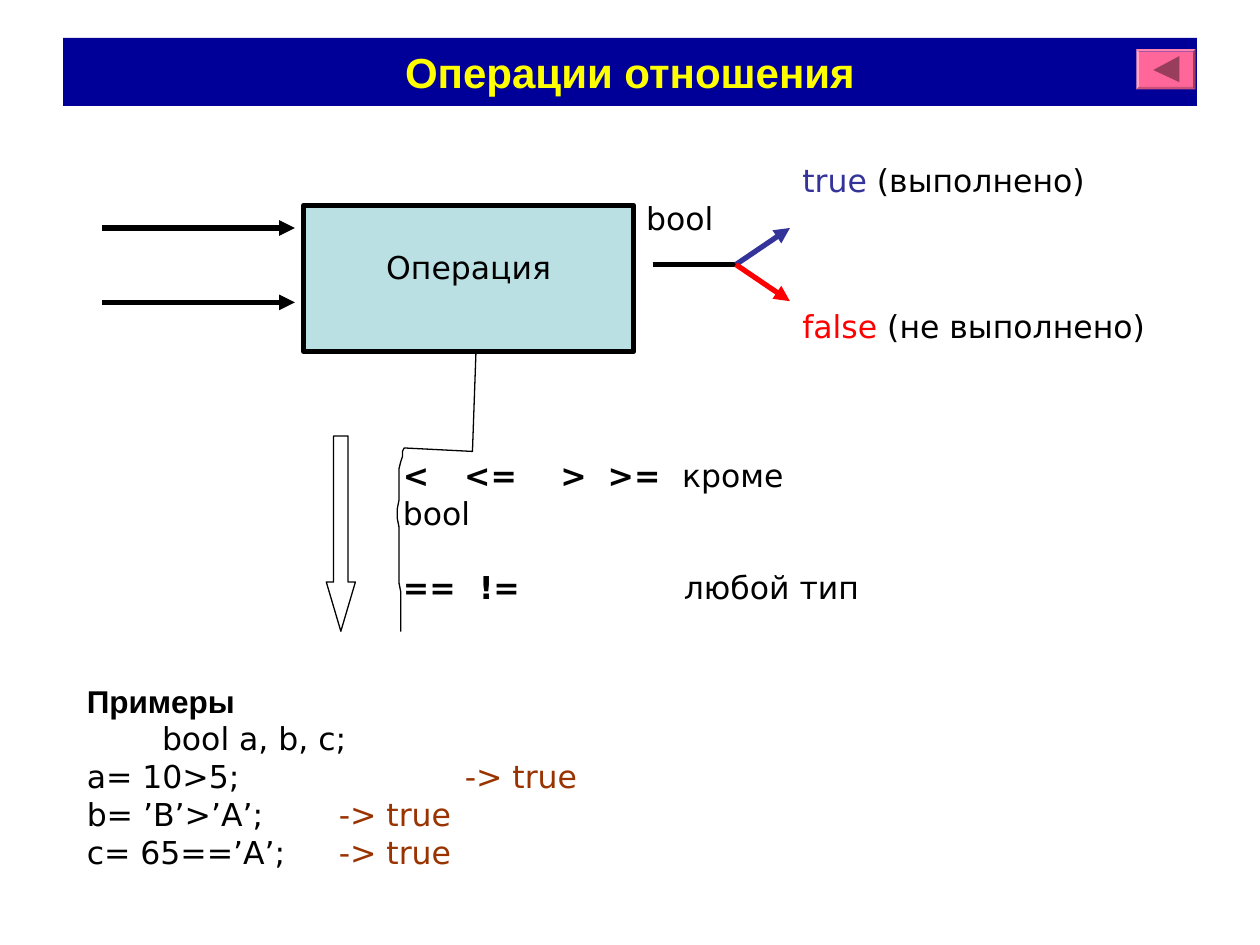
from lxml.etree import SubElement
from pptx import Presentation
from pptx.dml.color import RGBColor
from pptx.enum.shapes import MSO_CONNECTOR, MSO_SHAPE
from pptx.enum.text import MSO_ANCHOR, MSO_AUTO_SIZE, PP_ALIGN
from pptx.oxml.ns import qn
from pptx.util import Pt

THEME = dict(
    navy="000099", yellow="FFFF00", pink="FF6699", plum="993D5C", aqua="BBE0E3",
    black="000000", white="FFFFFF", blue="333399", red="FF0000", brown="993300",
    body="DejaVu Sans", head="Arial", title_size=24, size=18, thick=3, thin=0.75,
)

# Content: a paragraph is (runs, options), a run is (text, options)
TITLE = [([("Операции отношения", dict(color="yellow", bold=True, font="head", size="title_size"))],
          dict(align=PP_ALIGN.CENTER))]
OPERATION = [([("Операция", {})], dict(align=PP_ALIGN.CENTER))]
OPERATORS = [
    ([("<\t<=\t>\t>=\t", dict(bold=True)), ("кроме\vbool", {})],
     dict(tabs=(35, 90, 117, 159.5))),
    ([("==\t!=\t", dict(bold=True)), ("любой тип", {})],
     dict(tabs=(43.5, 160.5), before=21)),
]
BOOL = [([("bool", {})], {})]
TRUE = [([("true", dict(color="blue")), (" (выполнено)", {})], {})]
FALSE = [([("false", dict(color="red")), (" (не выполнено)", {})], {})]
EXAMPLES = [
    ([("Примеры", dict(font="head", bold=True))], {}),
    ([("bool a, b, c;", {})], dict(indent=43)),
] + [
    ([(code + "\t", {}), ("-> true", dict(color="brown"))], dict(tabs=(stop,)))
    for code, stop in (("a= 10>5;", 216), ("b= ’B’>’A’;", 144), ("c= 65==’A’;", 144))
]

# Places: left, top, width, height
TITLE_BOX = (36, 21.6, 648, 38.9)
BUTTON = (649.4, 28.1, 33.8, 23)
OPERATION_BOX = (173.5, 117.4, 188.6, 83.5)
DOWN_ARROW = (186.5, 249.1, 16.6, 111.6)
TEXTS = [
    (OPERATORS, (223.2, 257, 275.8, 103.7), MSO_ANCHOR.TOP),
    (BOOL, (362.2, 110.2, 247, 83.5), MSO_ANCHOR.TOP),
    (TRUE, (451.4, 88.6, 188.6, 41.8), MSO_ANCHOR.TOP),
    (FALSE, (451.4, 172.1, 220.3, 41.8), MSO_ANCHOR.TOP),
    (EXAMPLES, (42.5, 385.9, 635, 115.2), MSO_ANCHOR.MIDDLE),
]
FORK = (420.5, 151.2)
ARROWS = [  # start, end, colour, has head
    ((58.3, 130.3), (168.5, 130.3), "black", True),
    ((58.3, 172.8), (168.5, 172.8), "black", True),
    ((373, 151.2), FORK, "black", False),
    (FORK, (451.4, 130.3), "blue", True),
    (FORK, (451.4, 172.1), "red", True),
]
CALLOUT = [(272.2, 200.9), (270, 257.8)]
CURVE = [(231.1, 255.6), (223.9, 272.9), (229.7, 339.1), (229, 360.7)]
BACK_MARK = [(658.8, 39.6), (673.7, 32.1), (673.7, 47)]


def rgb(name):
    return RGBColor.from_string(THEME[name])


def place(sp, box):
    sp.left, sp.top, sp.width, sp.height = map(Pt, box)


def write(sp, paragraphs, anchor=MSO_ANCHOR.TOP, top=3.6):
    """Fill a shape with formatted paragraphs."""
    tf = sp.text_frame
    tf.word_wrap = True
    tf.auto_size = MSO_AUTO_SIZE.NONE
    tf.vertical_anchor = anchor
    tf.margin_left = tf.margin_right = Pt(7.2)
    tf.margin_top, tf.margin_bottom = Pt(top), Pt(3.6)
    for i, (runs, options) in enumerate(paragraphs):
        p = tf.add_paragraph() if i else tf.paragraphs[0]
        add_runs(p, runs, **options)


def add_runs(p, runs, align=PP_ALIGN.LEFT, before=0, indent=0, tabs=()):
    p.alignment = align
    p.space_before = Pt(before)
    pPr = p._p.get_or_add_pPr()
    if indent:
        pPr.set("marL", str(Pt(indent)))
    if tabs:
        stops = SubElement(pPr, qn("a:tabLst"))
        for stop in tabs:
            SubElement(stops, qn("a:tab"), pos=str(Pt(stop)), algn="l")
    for text, options in runs:
        for i, part in enumerate(text.split("\v")):
            if i:
                p.add_line_break()
            add_text(p, part, **options)


def add_text(p, text, color="black", bold=False, font="body", size="size"):
    r = p.add_run()
    r.text = text
    r.font.name, r.font.size, r.font.bold = THEME[font], Pt(THEME[size]), bold
    r.font.color.rgb = rgb(color)


def paint(sp, fill=None, width=None):
    sp.shadow.inherit = False
    if fill:
        sp.fill.solid()
        sp.fill.fore_color.rgb = rgb(fill)
    else:
        sp.fill.background()
    if width:
        sp.line.color.rgb = rgb("black")
        sp.line.width = Pt(THEME[width])
    else:
        sp.line.fill.background()


def add_shape(s, kind, box, adjust=(), **style):
    sp = s.shapes.add_shape(kind, *map(Pt, box))
    for i, value in enumerate(adjust):
        sp.adjustments[i] = value
    paint(sp, **style)
    return sp


def add_outline(s, points, close, **style):
    fb = s.shapes.build_freeform(*points[0], scale=Pt(1))
    fb.add_line_segments(points[1:], close=close)
    paint(fb.convert_to_shape(), **style)


def add_arrow(s, start, end, color, head):
    cn = s.shapes.add_connector(MSO_CONNECTOR.STRAIGHT, *map(Pt, start + end))
    cn.line.color.rgb = rgb(color)
    cn.line.width = Pt(THEME["thick"])
    if head:
        SubElement(cn.line._get_or_add_ln(), qn("a:tailEnd"), type="triangle")
    SubElement(cn._element.spPr, qn("a:effectLst"))


def bezier(points, steps=24):
    """Points along a cubic curve."""
    def at(t):
        weights = ((1 - t) ** 3, 3 * t * (1 - t) ** 2, 3 * t * t * (1 - t), t ** 3)
        return tuple(sum(w * pt[axis] for w, pt in zip(weights, points)) for axis in (0, 1))
    return [at(i / steps) for i in range(steps + 1)]


def main():
    prs = Presentation()
    prs.slide_width, prs.slide_height = Pt(720), Pt(540)
    s = prs.slides.add_slide(prs.slide_layouts[5])

    # Title bar
    title = s.shapes.title
    place(title, TITLE_BOX)
    title.fill.solid()
    title.fill.fore_color.rgb = rgb("navy")
    write(title, TITLE, MSO_ANCHOR.MIDDLE)

    # Back button
    add_shape(s, MSO_SHAPE.BEVEL, BUTTON, (0.06,), fill="pink")
    add_outline(s, BACK_MARK, True, fill="plum")

    # Operation box with its callout line
    box = add_shape(s, MSO_SHAPE.RECTANGLE, OPERATION_BOX, fill="aqua", width="thick")
    write(box, OPERATION, top=24.6)
    add_outline(s, CALLOUT + bezier(CURVE), False, width="thin")

    # Arrows
    add_shape(s, MSO_SHAPE.DOWN_ARROW, DOWN_ARROW, (0.5, 1.69), fill="white", width="thin")
    for arrow in ARROWS:
        add_arrow(s, *arrow)

    # Labels and examples
    for paragraphs, place_box, anchor in TEXTS:
        write(s.shapes.add_textbox(*map(Pt, place_box)), paragraphs, anchor)

    prs.save("out.pptx")


if __name__ == "__main__":
    main()
